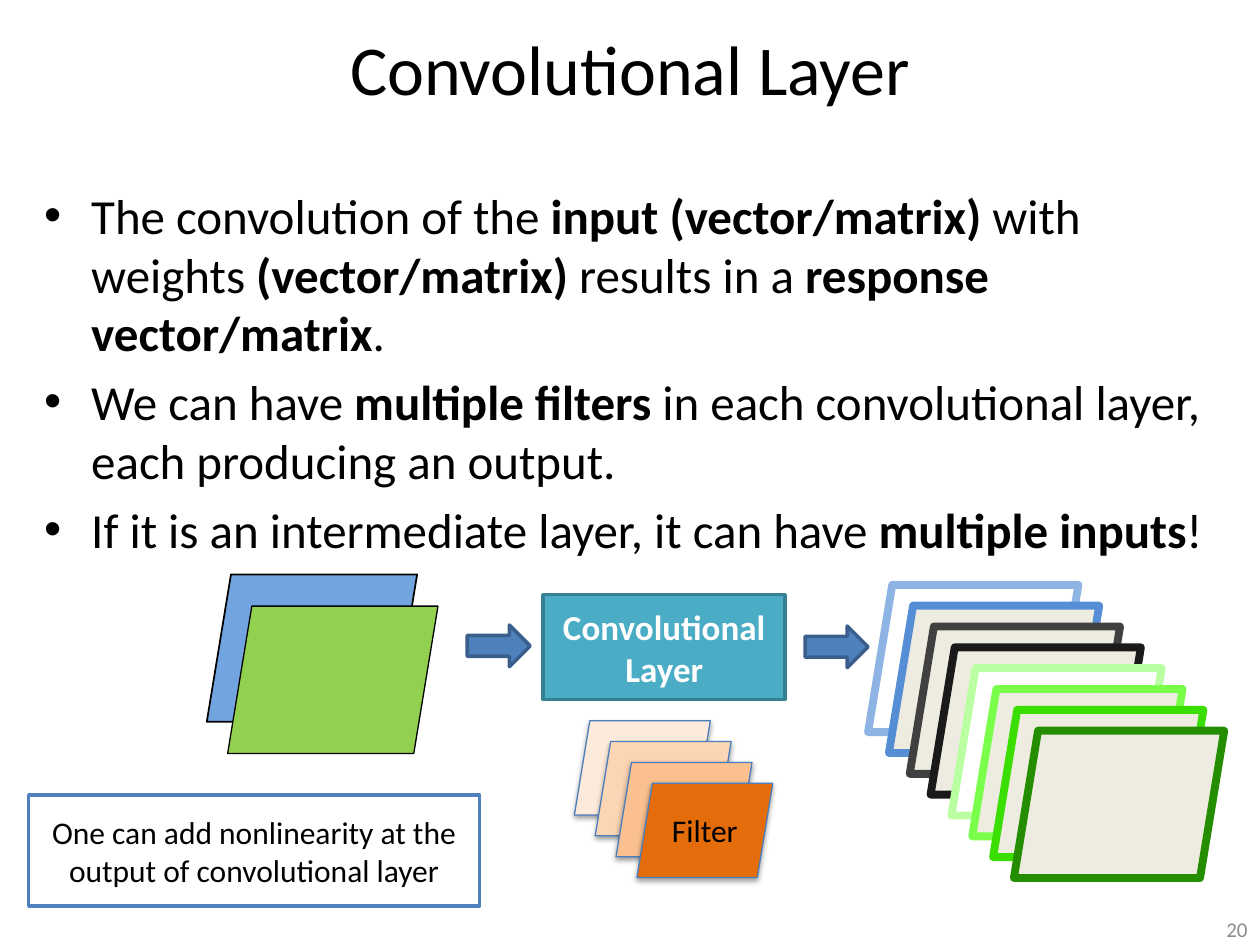
from lxml.etree import SubElement
from pptx import Presentation
from pptx.dml.color import RGBColor
from pptx.enum.shapes import MSO_SHAPE
from pptx.enum.text import MSO_ANCHOR, PP_ALIGN
from pptx.oxml.ns import qn
from pptx.util import Cm, Pt

STEP = 0.42
BODY = [
    "The convolution of the *input (vector/matrix)* with weights "
    "*(vector/matrix) *results in a *response vector/matrix*.",
    "We can have *multiple filters *in each convolutional layer, "
    "each producing an output.",
    "If it is an intermediate layer, it can have *multiple inputs*!",
]
INPUTS = [("72A4E0", "000000", 1), ("92D050", "000000", 0.75)]
FILTERS = [(fill, "4B7EBC", 0.75)
           for fill in ("FDEADA", "FCD5B5", "FAC090", "E46C0A")]
OUTPUTS = [("FFFFFF", "8EB4E3", 4.5), ("EEECE1", "558ED5", 4.5),
           ("EEECE1", "404040", 4.5), ("EEECE1", "1A1A1A", 4.5),
           ("FFFFFF", "BBFFA3", 4.5), ("EEECE1", "7AFF4B", 4.5),
           ("EEECE1", "3ADE00", 4.5), ("EEECE1", "258E00", 4.5)]


def color(code):
    """Turn a hex string into a colour."""
    return RGBColor.from_string(code)


def style(run, size, code="000000", bold=False):
    """Set the font of one run."""
    font = run.font
    font.name, font.size, font.bold = "Calibri", Pt(size), bold
    font.color.rgb = color(code)


def write(shape, text, size, code="000000", bold=False, align=PP_ALIGN.CENTER):
    """Put one paragraph in the middle of a shape."""
    frame = shape.text_frame
    frame.word_wrap = True
    frame.vertical_anchor = MSO_ANCHOR.MIDDLE
    frame.text = text
    para = frame.paragraphs[0]
    para.alignment = align
    style(para.runs[0], size, code, bold)


def label(slide, box, text, size, **look):
    """Add a text box with one paragraph."""
    area = slide.shapes.add_textbox(*map(Cm, box))
    write(area, text, size, **look)


def draw(slide, kind, box, fill, line, width):
    """Add a flat preset shape."""
    shape = slide.shapes.add_shape(kind, *map(Cm, box))
    shape.shadow.inherit = False
    shape.fill.solid()
    shape.fill.fore_color.rgb = color(fill)
    shape.line.color.rgb = color(line)
    shape.line.width = Pt(width)
    return shape


def shade(shape):
    """Add a soft shadow below a shape."""
    effect = shape._element.spPr.find(qn("a:effectLst"))
    outer = SubElement(effect, qn("a:outerShdw"), blurRad="40000",
                       dist="20000", dir="5400000", rotWithShape="0")
    tint = SubElement(outer, qn("a:srgbClr"), val="000000")
    SubElement(tint, qn("a:alpha"), val="38000")


def bullets(slide, box, items):
    """Add a bullet list in which stars enclose bold words."""
    frame = slide.shapes.add_textbox(*map(Cm, box)).text_frame
    frame.word_wrap = True
    for i, item in enumerate(items):
        para = frame.add_paragraph() if i else frame.paragraphs[0]
        para.space_before = Pt(5.6)
        props = para._p.get_or_add_pPr()
        props.set("marL", str(Cm(0.95)))
        props.set("indent", str(-Cm(0.95)))
        SubElement(props, qn("a:buFont"), typeface="Arial")
        SubElement(props, qn("a:buChar"), char="•")
        for j, part in enumerate(item.split("*")):
            run = para.add_run()
            run.text = part
            style(run, 28, bold=j % 2 == 1)


def stack(slide, box, sheets, drop=STEP):
    """Add slanted sheets in a cascade and return them."""
    left, top, width, height = box
    made = []
    for i, look in enumerate(sheets):
        place = (left + i * STEP, top + i * drop, width, height)
        sheet = draw(slide, MSO_SHAPE.PARALLELOGRAM, place, *look)
        sheet.adjustments[0] = 0.164
        made.append(sheet)
    return made


def diagram(slide, left, top):
    """Add the flow from inputs through the layer to outputs."""
    stack(slide, (left, top, 4.24, 2.97), INPUTS, 0.64)
    layer = draw(slide, MSO_SHAPE.RECTANGLE,
                 (left + 6.78, top + 0.41, 4.88, 2.11), "4BACC6", "377F92", 2)
    write(layer, "Convolutional Layer", 20, "FFFFFF", True)
    filters = stack(slide, (left + 7.41, top + 2.95, 2.74, 1.9), FILTERS)
    for sheet in filters:
        shade(sheet)
    write(filters[-1], "Filter", 18)
    stack(slide, (left + 13.33, top + 0.21, 4.24, 2.97), OUTPUTS)
    for x, y in ((5.25, 1.02), (12.06, 1.04)):
        draw(slide, MSO_SHAPE.RIGHT_ARROW, (left + x, top + y, 1.27, 0.84),
             "4F81BD", "3A5F8C", 2)


def note(slide, box, text):
    """Add a framed remark."""
    frame = draw(slide, MSO_SHAPE.RECTANGLE, box, "FFFFFF", "4F81BD", 2)
    write(frame, text, 18)


def main():
    """Build the slide and save it."""
    deck = Presentation()
    deck.slide_width, deck.slide_height = Cm(25.4), Cm(19.05)
    slide = deck.slides.add_slide(deck.slide_layouts[6])
    label(slide, (0, 0, 25.4, 2.74), "Convolutional Layer", 40)
    bullets(slide, (0.64, 3.61, 24.13, 14.6), BODY)
    label(slide, (19.48, 18.42, 5.92, 0.64), "20", 12,
          code="8C8C8C", align=PP_ALIGN.RIGHT)
    diagram(slide, 4.17, 11.58)
    note(slide, (0.58, 16.03, 9.09, 2.24),
         "One can add nonlinearity at the output of convolutional layer")
    deck.save("out.pptx")


if __name__ == "__main__":
    main()
